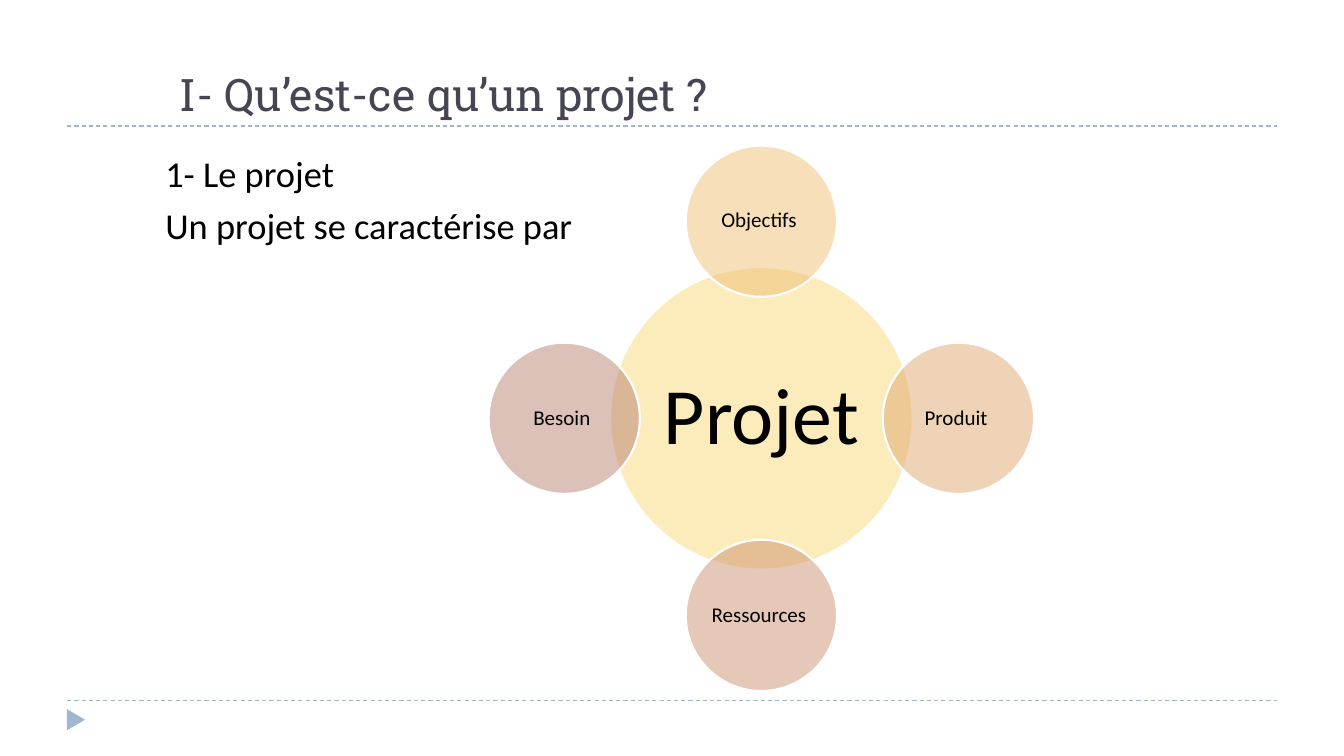
from dataclasses import dataclass
from math import cos, radians, sin

from lxml import etree
from pptx import Presentation
from pptx import util as u
from pptx.dml.color import RGBColor
from pptx.enum import dml, shapes, text
from pptx.oxml import ns


@dataclass(frozen=True)
class Theme:
    ink: str = "000000"
    heading: str = "464653"
    accent: str = "9FB8CD"
    outline: str = "FFFFFF"
    heading_font: str = "Roboto Slab"
    body_font: str = "Calibri"
    title_pt: int = 32
    body_pt: int = 26
    hub_pt: int = 57
    label_pt: int = 15
    opacity: int = 50


@dataclass(frozen=True)
class Circle:
    label: str
    fill: str
    size: float  # diameter in rows
    pt: int
    inset: float  # inches
    angle: float = 0  # degrees, clockwise from the right
    orbit: float = 0  # rows from the centre of the diagram


THEME = Theme()
WIDTH, HEIGHT = u.Inches(13.33), u.Inches(7.5)
COLUMNS, ROWS = 20, 15
CENTRE_COL, CENTRE_ROW = 11.33, 8.3

TITLE = "I- Qu’est-ce qu’un projet ?"
BODY = ["1- Le projet", "Un projet se caractérise par"]
SATELLITES = [
    ("Objectifs ", "EEC074", -90),
    ("Produit ", "DFA870", 0),
    ("Ressources ", "CD9370", 90),
    ("Besoin ", "B88472", 180),
]
CIRCLES = [Circle("Projet ", "FADA7A", 6, THEME.hub_pt, 0.08)] + [
    Circle(label, fill, 3, THEME.label_pt, 0.02, angle, 3.91)
    for label, fill, angle in SATELLITES
]


def col(n: float) -> int:
    return round(WIDTH * n / COLUMNS)


def row(n: float) -> int:
    return round(HEIGHT * n / ROWS)


def place(sp, left: float, top: float, width: float, height: float) -> None:
    sp.left, sp.top, sp.width, sp.height = col(left), row(top), col(width), row(height)


def add_run(p, words: str, font: str, pt: int, colour: str) -> None:
    r = p.add_run()
    r.text = words
    r.font.name, r.font.size = font, u.Pt(pt)
    r.font.color.rgb = RGBColor.from_string(colour)


def add_rule(s, at_row: float) -> None:
    line = s.shapes.add_connector(
        shapes.MSO_CONNECTOR.STRAIGHT, col(1), row(at_row), col(19), row(at_row))
    line.line.color.rgb = RGBColor.from_string(THEME.accent)
    line.line.width = u.Pt(0.75)
    line.line.dash_style = dml.MSO_LINE.DASH
    etree.SubElement(line._element.spPr, ns.qn("a:effectLst"))


def add_marker(s) -> None:
    base, height = row(0.42), row(0.36)
    sp = s.shapes.add_shape(
        shapes.MSO_SHAPE.ISOSCELES_TRIANGLE,
        col(1.13) - base // 2, row(14.28) - height // 2, base, height)
    sp.rotation = 90
    sp.shadow.inherit = False
    sp.fill.solid()
    sp.fill.fore_color.rgb = RGBColor.from_string(THEME.accent)
    sp.line.fill.background()


def fill_title(s) -> None:
    sp = s.shapes.title
    place(sp, 2.52, 0, 13.5, 2.5)
    tf = sp.text_frame
    tf.auto_size = text.MSO_AUTO_SIZE.NONE
    tf.vertical_anchor = text.MSO_ANCHOR.BOTTOM
    p = tf.paragraphs[0]
    p.alignment = text.PP_ALIGN.LEFT
    add_run(p, TITLE, THEME.heading_font, THEME.title_pt, THEME.heading)


def fill_body(s) -> None:
    sp = s.placeholders[1]
    place(sp, 2.31, 2.9, 13.5, 9.9)
    tf = sp.text_frame
    tf.auto_size = text.MSO_AUTO_SIZE.NONE
    for i, words in enumerate(BODY):
        p = tf.add_paragraph() if i else tf.paragraphs[0]
        p.space_before = u.Pt(6 if i else 0)
        pPr = p._p.get_or_add_pPr()
        pPr.set("marL", "0")
        pPr.set("indent", "0")
        etree.SubElement(pPr, ns.qn("a:buNone"))
        add_run(p, words, THEME.body_font, THEME.body_pt, THEME.ink)


def add_circle(group, circle: Circle) -> None:
    size = row(circle.size)
    turn = radians(circle.angle)
    x = col(CENTRE_COL) + row(circle.orbit * cos(turn))
    y = row(CENTRE_ROW + circle.orbit * sin(turn))
    sp = group.shapes.add_shape(
        shapes.MSO_SHAPE.OVAL, x - size // 2, y - size // 2, size, size)
    sp.shadow.inherit = False
    sp.fill.solid()
    sp.fill.fore_color.rgb = RGBColor.from_string(circle.fill)
    colour = sp._element.spPr.find(ns.qn("a:solidFill")).find(ns.qn("a:srgbClr"))
    etree.SubElement(colour, ns.qn("a:alpha")).set("val", str(THEME.opacity * 1000))
    sp.line.color.rgb = RGBColor.from_string(THEME.outline)
    sp.line.width = u.Pt(1.5)

    tf = sp.text_frame
    tf.word_wrap = True
    tf.vertical_anchor = text.MSO_ANCHOR.MIDDLE
    tf.margin_left = tf.margin_right = u.Inches(circle.inset)
    tf.margin_top = tf.margin_bottom = u.Inches(circle.inset)
    p = tf.paragraphs[0]
    p.alignment = text.PP_ALIGN.CENTER
    p.line_spacing = 0.9
    add_run(p, circle.label, THEME.body_font, circle.pt, THEME.ink)


def main() -> None:
    prs = Presentation()
    prs.slide_width, prs.slide_height = WIDTH, HEIGHT
    s = prs.slides.add_slide(prs.slide_layouts[1])

    # Frame: dashed rules and corner marker
    for at_row in (13.9, 2.5):
        add_rule(s, at_row)
    add_marker(s)

    # Title and body
    fill_title(s)
    fill_body(s)

    # Radial diagram: hub first, then its satellites
    diagram = s.shapes.add_group_shape()
    for circle in CIRCLES:
        add_circle(diagram, circle)

    prs.save("out.pptx")


if __name__ == "__main__":
    main()
